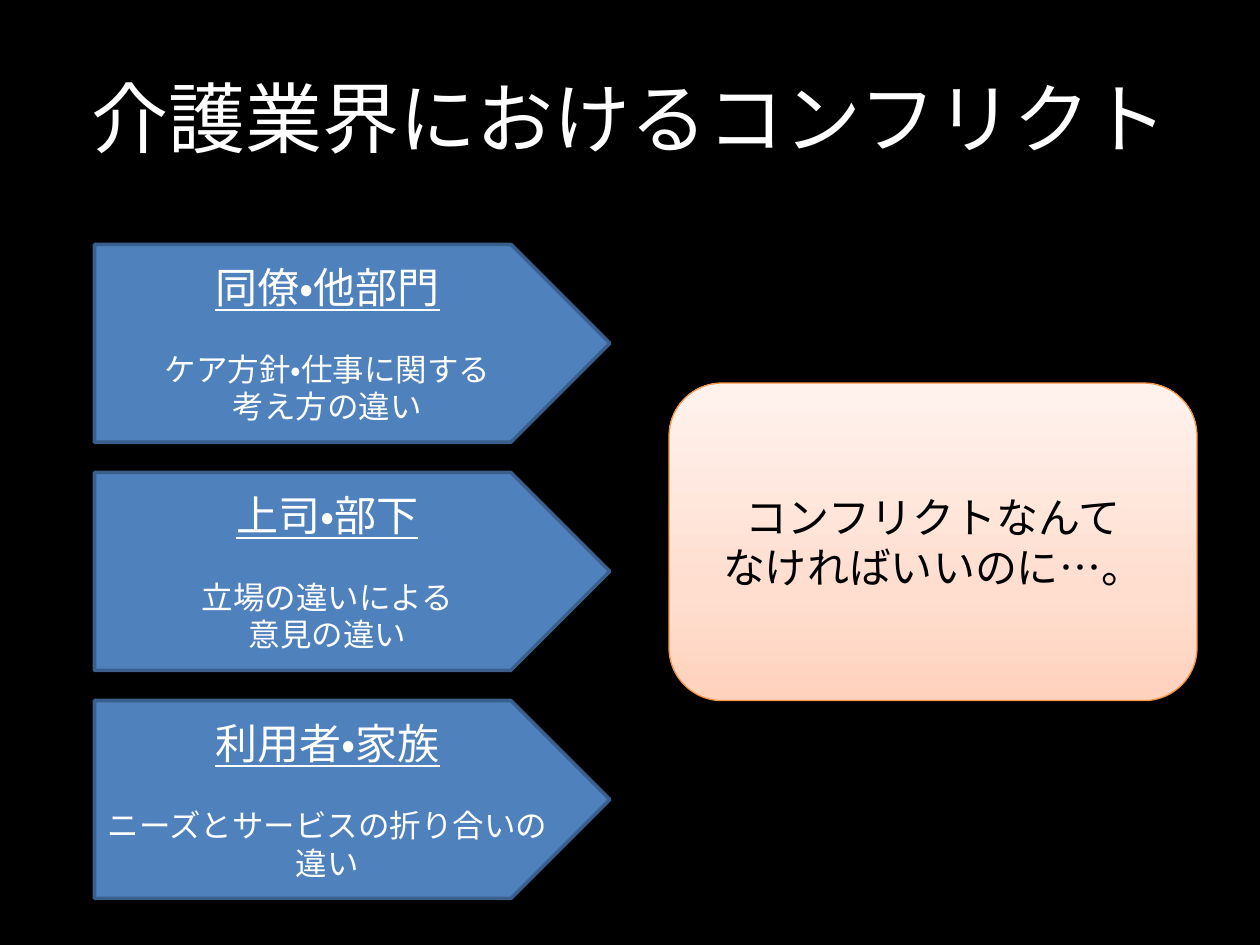
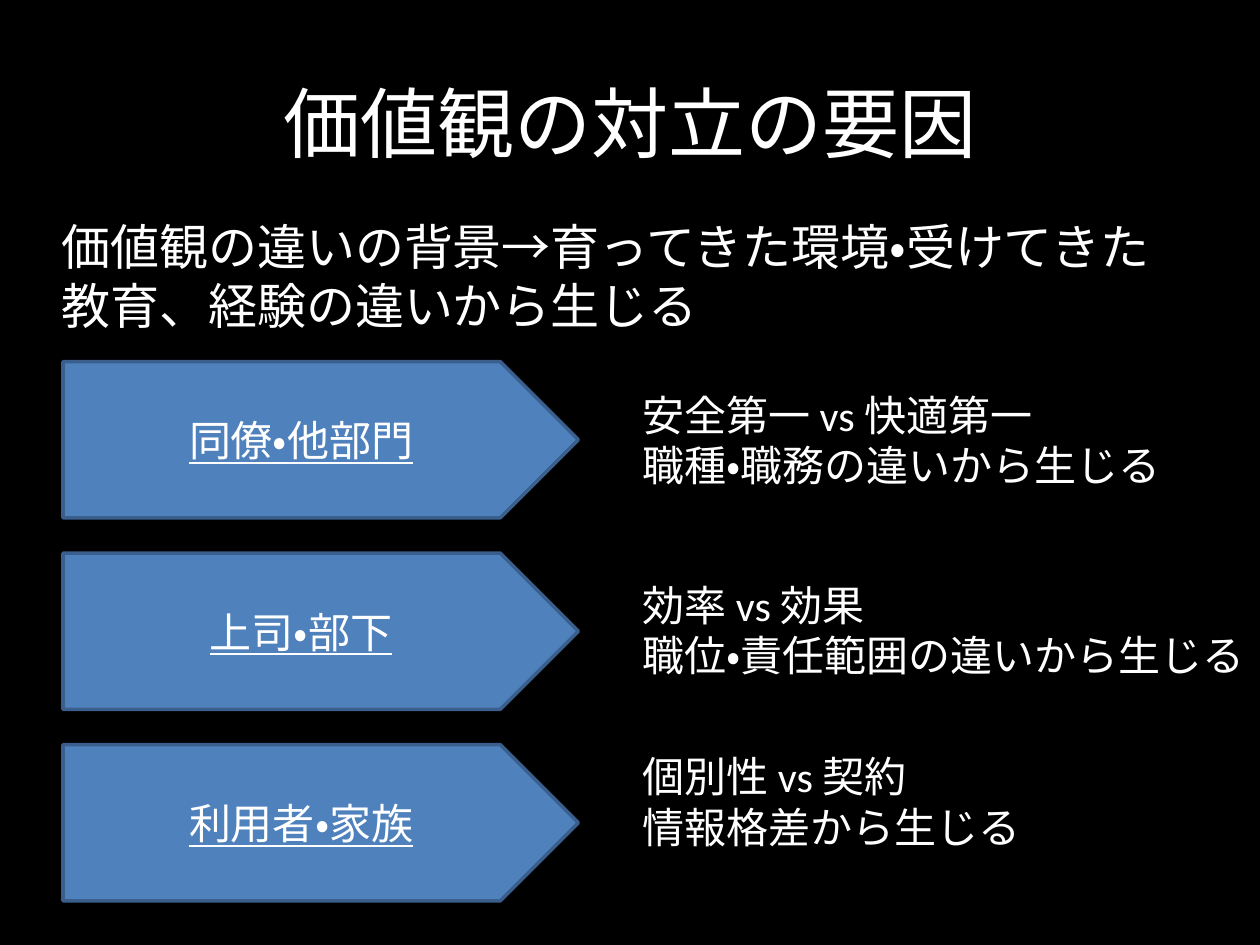
from copy import deepcopy

from pptx import Presentation
from pptx.dml.color import RGBColor
from pptx.enum import lang, shapes, text
from pptx.util import Inches, Pt

BLACK = RGBColor(0x00, 0x00, 0x00)
WHITE = RGBColor(0xFF, 0xFF, 0xFF)
BLUE = RGBColor(0x4F, 0x81, 0xBD)
BLUE_EDGE = RGBColor(0x3A, 0x5F, 0x8C)
ORANGE_EDGE = RGBColor(0xF6, 0x92, 0x40)
PEACH_STOPS = [
    (0, RGBColor(0xFF, 0xD2, 0xBD)),
    (0.35, RGBColor(0xFF, 0xDE, 0xD0)),
    (1, RGBColor(0xFF, 0xF2, 0xED)),
]

FONT = "Calibri"
CENTER, LEFT = text.PP_ALIGN.CENTER, text.PP_ALIGN.LEFT
MIDDLE, TOP = text.MSO_ANCHOR.MIDDLE, text.MSO_ANCHOR.TOP
HEADING = {"size": Pt(24), "underline": True}
DETAIL = {"size": Pt(18)}
STATEMENT = {"size": Pt(24)}
ARROW_W = 4.09

PARTIES = ["同僚・他部門", "上司・部下", "利用者・家族"]
DIFFERENCES = [
    ["ケア方針・仕事に関する", "考え方の違い"],
    ["立場の違いによる", "意見の違い"],
    ["ニーズとサービスの折り合いの違い"],
]
CAUSES = [
    (3.04, ["安全第一 vs 快適第一", "職種・職務の違いから生じる"]),
    (4.55, ["効率 vs 効果", "職位・責任範囲の違いから生じる"]),
    (5.91, ["個別性 vs 契約", "情報格差から生じる"]),
]


def write(sp, lines, align=LEFT, anchor=TOP, color=WHITE):
    """Fill a shape with (text, font format) lines, one paragraph each."""
    tf = sp.text_frame
    tf.word_wrap = True
    tf.vertical_anchor = anchor
    for i, (words, fmt) in enumerate(lines):
        p = tf.paragraphs[0] if i == 0 else tf.add_paragraph()
        p.alignment = align
        r = p.add_run()
        r.text = words
        style = {"name": FONT, "language_id": lang.MSO_LANGUAGE_ID.JAPANESE, **fmt}
        for key, value in style.items():
            setattr(r.font, key, value)
        r.font.color.rgb = color


def add_text(s, box, lines, **layout):
    sp = s.shapes.add_textbox(*map(Inches, box))
    write(sp, lines, **layout)


def add_box(s, kind, box, edge, edge_width):
    sp = s.shapes.add_shape(kind, *map(Inches, box))
    sp.shadow.inherit = False
    sp.line.color.rgb = edge
    sp.line.width = Pt(edge_width)
    return sp


def add_titled_slide(prs, title, top):
    s = prs.slides.add_slide(prs.slide_layouts[6])
    s.background.fill.solid()
    s.background.fill.fore_color.rgb = BLACK
    add_text(s, (0.5, top, 9, 1.25), [(title, {"size": Pt(44)})],
             align=CENTER, anchor=MIDDLE)
    return s


def add_arrow(s, box, party, details=()):
    sp = add_box(s, shapes.MSO_SHAPE.PENTAGON, box, BLUE_EDGE, 2)
    sp.fill.solid()
    sp.fill.fore_color.rgb = BLUE
    write(sp, [(party, HEADING)] + [(d, DETAIL) for d in details],
          align=CENTER, anchor=MIDDLE)
    if details:
        sp.text_frame.paragraphs[1].space_before = Pt(21.6)


def add_wish(s, box, lines):
    """Rounded panel with a peach gradient that lightens upwards."""
    sp = add_box(s, shapes.MSO_SHAPE.ROUNDED_RECTANGLE, box, ORANGE_EDGE, 0.75)
    sp.fill.gradient()
    sp.fill.gradient_angle = 90
    stops = sp._element.spPr.find(".//{*}gsLst")
    stops.append(deepcopy(stops[-1]))
    for stop, (position, color) in zip(sp.fill.gradient_stops, PEACH_STOPS):
        stop.position = position
        stop.color.rgb = color
    write(sp, [(line, STATEMENT) for line in lines],
          align=CENTER, anchor=MIDDLE, color=BLACK)


def conflict_slide(prs):
    s = add_titled_slide(prs, "介護業界におけるコンフリクト", 0.3)
    for i, (party, details) in enumerate(zip(PARTIES, DIFFERENCES)):
        add_arrow(s, (0.75, 1.94 + 1.81 * i, ARROW_W, 1.57), party, details)
    add_wish(s, (5.31, 3.04, 4.19, 2.52),
             ["コンフリクトなんて", "なければいいのに…。"])


def causes_slide(prs):
    s = add_titled_slide(prs, "価値観の対立の要因", 0.34)
    background = "価値観の違いの背景→育ってきた環境・受けてきた教育、経験の違いから生じる"
    add_text(s, (0.39, 1.67, 9.11, 1.04), [(background, {"size": Pt(28)})])
    for i, (party, (top, lines)) in enumerate(zip(PARTIES, CAUSES)):
        add_arrow(s, (0.5, 2.87 + 1.52 * i, ARROW_W, 1.24), party)
        add_text(s, (5, top, 5, 0.91), [(line, STATEMENT) for line in lines])


def main():
    prs = Presentation()
    prs.slide_width, prs.slide_height = Inches(10), Inches(7.5)
    conflict_slide(prs)
    causes_slide(prs)
    prs.save("out.pptx")


if __name__ == "__main__":
    main()
